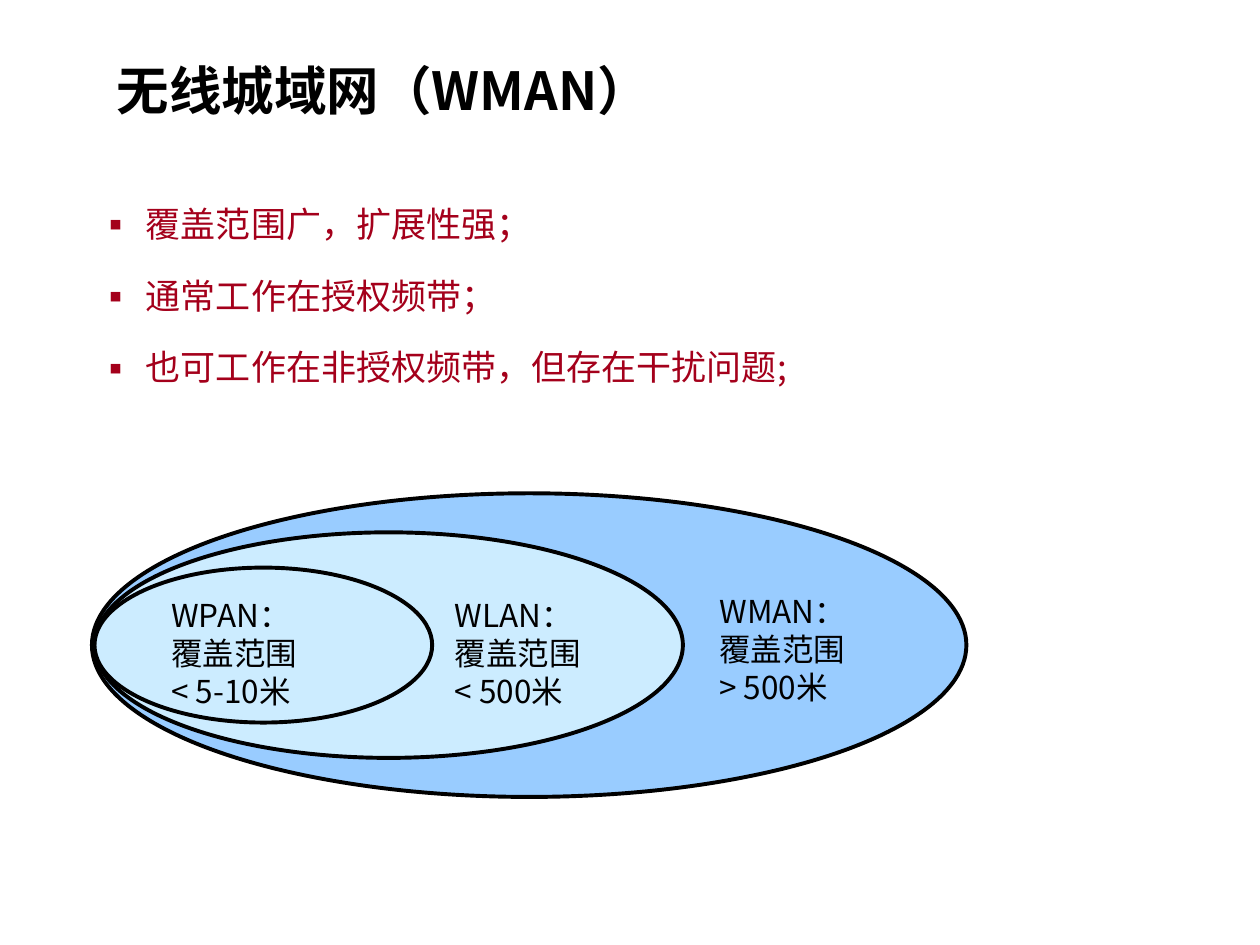
from dataclasses import dataclass

from lxml.etree import SubElement
from pptx import Presentation
from pptx.dml.color import RGBColor as RGB
from pptx.enum.shapes import MSO_SHAPE as Shape
from pptx.enum.text import MSO_ANCHOR as Anchor
from pptx.oxml.ns import qn
from pptx.util import Inches, Pt


@dataclass(frozen=True)
class Theme:
    font: str = "Noto Sans CJK SC"
    black: RGB = RGB(0x00, 0x00, 0x00)
    red: RGB = RGB(0xA4, 0x00, 0x1B)
    blue: RGB = RGB(0x99, 0xCC, 0xFF)
    pale: RGB = RGB(0xCC, 0xEC, 0xFF)
    title: float = 30
    body: float = 20
    label: float = 18
    body_leading: float = 36
    label_leading: float = 21.7
    outline: float = 2.25


@dataclass(frozen=True)
class Network:
    name: str
    reach: str
    left: float
    width: float
    height: float
    fill: RGB
    label_left: float
    label_top: float


THEME = Theme()
CENTER_Y = 5.12  # shared horizontal axis of the nested ellipses
BULLETS = ["覆盖范围广，扩展性强；", "通常工作在授权频带；", "也可工作在非授权频带，但存在干扰问题;"]
NETWORKS = [  # outermost first
    Network("WMAN", "> 500米", 0.73, 6.94, 2.41, THEME.blue, 5.55, 4.65),
    Network("WLAN", "< 500米", 0.75, 4.67, 1.79, THEME.pale, 3.45, 4.68),
    Network("WPAN", "< 5-10米", 0.75, 2.68, 1.23, THEME.pale, 1.2, 4.68),
]


def add_text(s, left: float, top: float, width: float, height: float,
             lines: list[str], size: float, color: RGB, bold: bool = False):
    """Add a text box with one paragraph per line and return its frame."""
    box = s.shapes.add_textbox(Inches(left), Inches(top), Inches(width), Inches(height))
    tf = box.text_frame
    tf.word_wrap = True
    tf.text = "\n".join(lines)
    for p in tf.paragraphs:
        for r in p.runs:
            r.font.name = THEME.font
            r.font.size = Pt(size)
            r.font.bold = bold
            r.font.color.rgb = color
            SubElement(r.font._element, qn("a:ea"), typeface=THEME.font)
    return tf


def add_bullet(p, color: RGB) -> None:
    """Give a paragraph a hanging square bullet."""
    pPr = p._p.get_or_add_pPr()
    pPr.set("marL", str(Inches(0.38)))
    pPr.set("indent", str(-Inches(0.38)))
    clr = SubElement(pPr, qn("a:buClr"))
    SubElement(clr, qn("a:srgbClr"), val=str(color))
    SubElement(pPr, qn("a:buFont"), typeface=THEME.font)
    SubElement(pPr, qn("a:buChar"), char="▪")


def add_network(s, net: Network) -> None:
    """Draw one coverage ellipse with its label."""
    sp = s.shapes.add_shape(Shape.OVAL, Inches(net.left), Inches(CENTER_Y - net.height / 2),
                            Inches(net.width), Inches(net.height))
    sp.shadow.inherit = False
    sp.fill.solid()
    sp.fill.fore_color.rgb = net.fill
    sp.line.color.rgb = THEME.black
    sp.line.width = Pt(THEME.outline)

    tf = add_text(s, net.label_left, net.label_top, 1.42, 1.3,
                  [f"{net.name}：", "覆盖范围", net.reach], THEME.label, THEME.black)
    tf.margin_left = Inches(0.16)
    for p in tf.paragraphs:
        p.line_spacing = Pt(THEME.label_leading)


def main() -> None:
    prs = Presentation()
    prs.slide_width, prs.slide_height = Inches(10), Inches(7.5)
    s = prs.slides.add_slide(prs.slide_layouts[6])

    # Title
    title = add_text(s, 0.83, 0.42, 8.67, 0.58, ["无线城域网（WMAN）"],
                     THEME.title, THEME.black, bold=True)
    title.vertical_anchor = Anchor.MIDDLE

    # Bullet list
    body = add_text(s, 0.68, 1.39, 8.66, 2.03, BULLETS, THEME.body, THEME.red)
    for i, p in enumerate(body.paragraphs):
        add_bullet(p, THEME.red)
        p.line_spacing = Pt(THEME.body_leading)
        if i:
            p.space_before = Pt(5)

    # Nested coverage areas
    for net in NETWORKS:
        add_network(s, net)

    prs.save("out.pptx")


if __name__ == "__main__":
    main()
